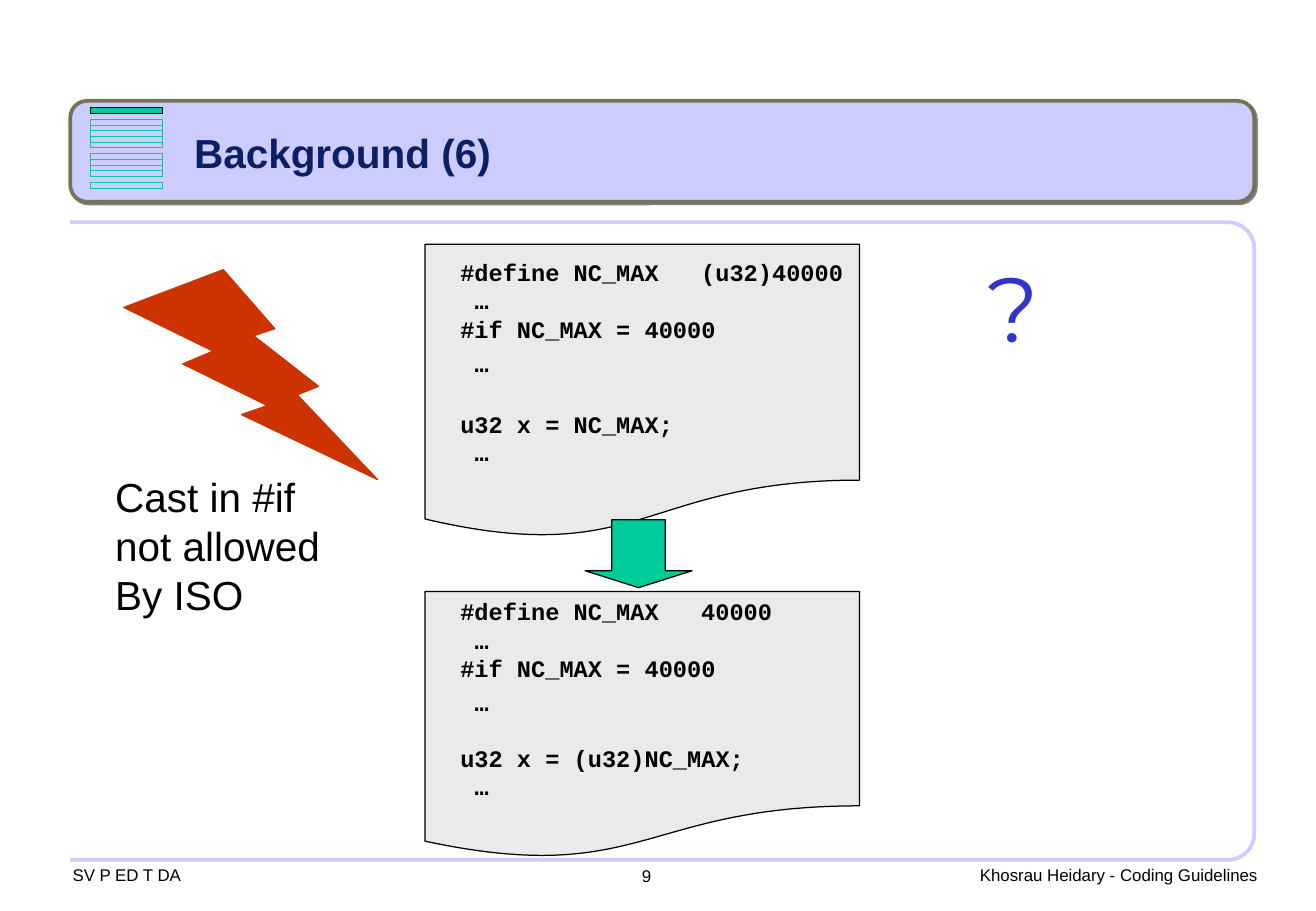
import math

from lxml import etree
from pptx import Presentation
from pptx.dml.color import RGBColor
from pptx.enum.shapes import MSO_SHAPE
from pptx.enum.text import MSO_ANCHOR, PP_ALIGN
from pptx.oxml.ns import qn
from pptx.util import Cm, Pt

RECT = MSO_SHAPE.RECTANGLE
ROUNDED = MSO_SHAPE.ROUNDED_RECTANGLE
DOCUMENT = MSO_SHAPE.FLOWCHART_DOCUMENT
DOWN_ARROW = MSO_SHAPE.DOWN_ARROW
BOLT = MSO_SHAPE.LIGHTNING_BOLT
TOP, MIDDLE = MSO_ANCHOR.TOP, MSO_ANCHOR.MIDDLE
LEFT, CENTER = PP_ALIGN.LEFT, PP_ALIGN.CENTER

COLORS = {
    "black": "000000",
    "lavender": "CCCCFF",
    "olive": "727357",
    "green": "00CC99",
    "paper": "EAEAEA",
    "red": "CC3300",
    "blue": "3333CC",
    "navy": "0A1F64",
    "shadow": "808080",
}
ELLIPSIS = "…"
BLANK_LINE = 16


def color(name):
    """Return the named colour."""
    return RGBColor.from_string(COLORS[name])


def style(shape, fill, line, weight):
    """Set fill and outline, and remove the theme shadow."""
    shape.shadow.inherit = False
    if fill:
        shape.fill.solid()
        shape.fill.fore_color.rgb = color(fill)
    else:
        shape.fill.background()
    shape.line.color.rgb = color(line)
    shape.line.width = Pt(weight)


def add_figure(slide, kind, box, fill, line, weight=0.75):
    """Add a preset shape; box is left, top, width, height in cm."""
    figure = slide.shapes.add_shape(kind, *map(Cm, box))
    style(figure, fill, line, weight)
    return figure


def set_insets(frame, left, top, right):
    """Set text margins in cm, with equal top and bottom."""
    frame.margin_left, frame.margin_right = Cm(left), Cm(right)
    frame.margin_top = frame.margin_bottom = Cm(top)


def write_lines(frame, lines, size, font="Arial", ink="black", bold=False, align=LEFT):
    """Write one paragraph per line and return the paragraphs."""
    frame.word_wrap = True
    for index, line in enumerate(lines):
        paragraph = frame.paragraphs[0] if index == 0 else frame.add_paragraph()
        paragraph.alignment = align
        run = paragraph.add_run()
        run.text = line
        run.font.size = Pt(size)
        run.font.name = font
        run.font.bold = bold
        run.font.color.rgb = color(ink)
    return frame.paragraphs


def add_label(slide, box, lines, size, insets=(0.25, 0.13, 0.25), **look):
    """Add a text box; box is left, top, width, height in cm."""
    frame = slide.shapes.add_textbox(*map(Cm, box)).text_frame
    frame.vertical_anchor = TOP
    set_insets(frame, *insets)
    write_lines(frame, lines, size, **look)


def add_listing(slide, top, height, lines, gaps):
    """Add a code sheet; gaps maps a line index to the points after it."""
    sheet = add_figure(slide, DOCUMENT, (8.89, top, 9.09, height), "paper", "black")
    frame = sheet.text_frame
    frame.vertical_anchor = MIDDLE
    set_insets(frame, 0.74, 0.13, 0.15)
    paragraphs = write_lines(frame, lines, 14, font="Courier New", bold=True)
    for index, paragraph in enumerate(paragraphs):
        paragraph.space_after = Pt(gaps.get(index, 0))
        properties = paragraph._p.get_or_add_pPr()
        if paragraph.text == ELLIPSIS:
            properties.set("marL", str(Cm(0.3)))
        if "\t" in paragraph.text:
            stops = etree.SubElement(properties, qn("a:tabLst"))
            etree.SubElement(stops, qn("a:tab"), pos=str(Cm(5.04)), algn="l")


def add_content_frame(slide):
    """Draw the frame that is open on the left and rounded on the right."""
    left, top, right, bottom, radius = 1.47, 4.65, 26.24, 17.98, 0.55
    points = []
    for center_y, start in ((top + radius, -90), (bottom - radius, 0)):
        for degrees in range(start, start + 91, 5):
            angle = math.radians(degrees)
            points.append((Cm(right - radius + radius * math.cos(angle)),
                           Cm(center_y + radius * math.sin(angle))))
    points.append((Cm(left), Cm(bottom)))
    builder = slide.shapes.build_freeform(Cm(left), Cm(top))
    builder.add_line_segments(points, close=False)
    style(builder.convert_to_shape(), None, "lavender", 2.25)


def add_header(slide):
    """Draw the title band with its offset shadow."""
    band = add_figure(slide, ROUNDED, (1.47, 2.11, 24.77, 2.11), "lavender", "olive", 2.25)
    band.adjustments[0] = 0.167
    effects = band._element.spPr.find(qn("a:effectLst"))
    shadow = etree.SubElement(effects, qn("a:outerShdw"), dist=str(Pt(1.4)),
                              dir="2700000", algn="ctr", rotWithShape="0")
    etree.SubElement(shadow, qn("a:srgbClr"), val=COLORS["shadow"])


def add_progress_bars(slide):
    """Draw the stack of agenda bars with the current one filled."""
    pitch = 0.12
    for row in (0, 1, 2, 3, 4, 6, 7, 8, 9, 11, -2):
        current = row == -2
        add_figure(slide, RECT, (1.88, 2.49 + row * pitch, 1.52, pitch),
                   "green" if current else None, "black" if current else "green", 0.25)


def main():
    """Build the slide and save it."""
    deck = Presentation()
    deck.slide_width, deck.slide_height = Cm(27.53), Cm(19.05)
    slide = deck.slides.add_slide(deck.slide_layouts[6])

    footer_insets = (0, 0.1, 0)
    add_label(slide, (1.52, 17.98, 5.23, 0.64), ["SV P ED T DA"], 10, footer_insets)
    add_label(slide, (20.5, 17.98, 6.32, 0.64), ["Khosrau Heidary - Coding Guidelines"],
              10, footer_insets)
    add_label(slide, (13.18, 17.98, 2.11, 0.69), ["9"], 10)

    add_content_frame(slide)
    add_header(slide)
    add_progress_bars(slide)
    add_label(slide, (3.81, 2.54, 7.5, 1.27), ["Background (6)"], 24, ink="navy", bold=True)

    condition = [ELLIPSIS, "#if NC_MAX = 40000", ELLIPSIS]
    add_listing(slide, 5.11, 6.15,
                ["#define NC_MAX\t(u32)40000", *condition, "u32 x = NC_MAX;", ELLIPSIS],
                {2: 3.5, 3: BLANK_LINE + 3.5})
    add_listing(slide, 12.37, 5.59,
                ["#define NC_MAX\t40000", *condition, "u32 x = (u32)NC_MAX;", ELLIPSIS],
                {2: 3.5, 3: BLANK_LINE})

    add_label(slide, (19.69, 5.13, 3.02, 4.01), ["?"], 54, font="Montserrat",
              ink="blue", align=CENTER)
    arrow = add_figure(slide, DOWN_ARROW, (12.24, 10.87, 2.24, 1.42), "green", "black")
    arrow.adjustments[0], arrow.adjustments[1] = 0.5, 0.25
    add_figure(slide, BOLT, (2.59, 5.64, 5.31, 4.39), "red", "red")
    add_label(slide, (2.16, 9.75, 5.2, 3.3), ["Cast in #if", "not allowed", "By ISO"], 24)

    deck.save("out.pptx")


if __name__ == "__main__":
    main()
